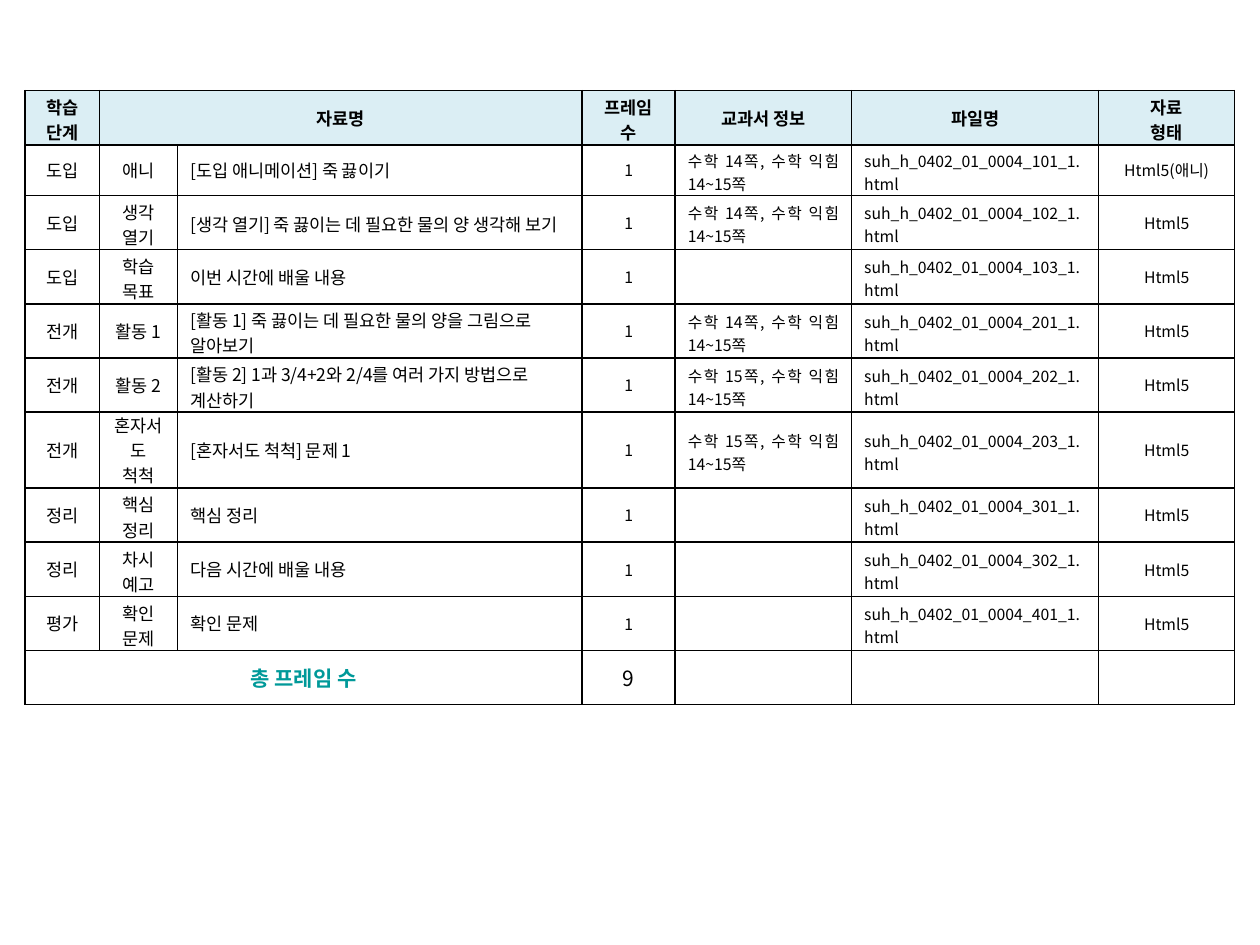
from lxml.etree import SubElement
from pptx import Presentation
from pptx.dml.color import RGBColor as Rgb
from pptx.enum.text import MSO_ANCHOR as Anchor, PP_ALIGN as Align
from pptx.oxml.ns import qn
from pptx.util import Inches, Pt

COLORS = {"text": "000000", "border": "000000", "header": "DBEEF4", "total": "009999"}
COLUMN_WIDTHS = [0.59, 0.62, 3.21, 0.74, 1.4, 1.96, 1.08]
ROW_HEIGHTS = [0.43, 0.4] + [0.43] * 4 + [0.6] + [0.43] * 4
HEADINGS = ["학습 단계", "자료명", "", "프레임 수", "교과서 정보", "파일명", "자료\n형태"]
TWO_LINE_HEADINGS = (0, 3, 6)
# Text size, alignment, most characters on one line
COLUMN_STYLES = [(10, Align.CENTER, 4), (10, Align.CENTER, 4), (10, Align.LEFT, 25),
                 (9, Align.CENTER, 5), (9, Align.JUSTIFY, 12), (9, Align.JUSTIFY, 25),
                 (9, Align.CENTER, 12)]
# Left, top, right, bottom
TWO_LINE_INSETS = (0.1, 0.03, 0.1, 0)
THREE_LINE_INSETS = (0.11, 0, 0.11, 0)

# Stage, section, material, textbook page, file number, format
LESSONS = [
    ("도입", "애니", "[도입 애니메이션] 죽 끓이기", 14, 101, "Html5(애니)"),
    ("도입", "생각 열기", "[생각 열기] 죽 끓이는 데 필요한 물의 양 생각해 보기", 14, 102, "Html5"),
    ("도입", "학습 목표", "이번 시간에 배울 내용", None, 103, "Html5"),
    ("전개", "활동 1", "[활동 1] 죽 끓이는 데 필요한 물의 양을 그림으로 알아보기", 14, 201, "Html5"),
    ("전개", "활동 2", "[활동 2] 1과 3/4+2와 2/4를 여러 가지 방법으로 계산하기", 15, 202, "Html5"),
    ("전개", "혼자서도 척척", "[혼자서도 척척] 문제 1", 15, 203, "Html5"),
    ("정리", "핵심 정리", "핵심 정리", None, 301, "Html5"),
    ("정리", "차시 예고", "다음 시간에 배울 내용", None, 302, "Html5"),
    ("평가", "확인 문제", "확인 문제", None, 401, "Html5"),
]


class LessonDeck:
    font_name = "Noto Sans CJK KR"

    def __init__(self, width, height):
        self.deck = Presentation()
        self.deck.slide_width, self.deck.slide_height = Inches(width), Inches(height)
        self.slide = self.deck.slides.add_slide(self.deck.slide_layouts[6])

    def table(self, left, top, widths, heights):
        """Place a table at shares of the slide's size."""
        frame = self.slide.shapes.add_table(
            len(heights), len(widths),
            int(self.deck.slide_width * left), int(self.deck.slide_height * top),
            Inches(sum(widths)), Inches(sum(heights)))
        grid = frame.table
        grid.first_row = grid.horz_banding = False
        for column, width in zip(grid.columns, widths):
            column.width = Inches(width)
        for row, height in zip(grid.rows, heights):
            row.height = Inches(height)
        for cell in grid.iter_cells():
            self.border(cell)
        return grid

    def border(self, cell):
        properties = cell._tc.get_or_add_tcPr()
        for side in ("a:lnL", "a:lnR", "a:lnT", "a:lnB"):
            line = SubElement(properties, qn(side), w=str(Pt(1)))
            fill = SubElement(line, qn("a:solidFill"))
            SubElement(fill, qn("a:srgbClr"), val=COLORS["border"])

    def insets(self, cell, insets):
        (cell.margin_left, cell.margin_top,
         cell.margin_right, cell.margin_bottom) = map(Inches, insets)

    def cell(self, cell, text, size, align, bold=False, color="text", fill=None):
        cell.vertical_anchor = Anchor.MIDDLE
        if fill:
            cell.fill.solid()
            cell.fill.fore_color.rgb = Rgb.from_string(COLORS[fill])
        else:
            cell.fill.background()
        cell.text_frame.text = text
        for paragraph in cell.text_frame.paragraphs:
            paragraph.alignment = align
            font = paragraph.font
            font.name, font.size, font.bold = self.font_name, Pt(size), bold
            font.color.rgb = Rgb.from_string(COLORS[color])
            SubElement(font._element, qn("a:ea"), typeface=self.font_name)


def main():
    deck = LessonDeck(10, 7.5)
    plan = deck.table(0.02, 0.096, COLUMN_WIDTHS, ROW_HEIGHTS)
    last = len(ROW_HEIGHTS) - 1
    plan.cell(0, 1).merge(plan.cell(0, 2))
    plan.cell(last, 0).merge(plan.cell(last, 2))

    # Header
    for column, heading in enumerate(HEADINGS):
        cell = plan.cell(0, column)
        deck.cell(cell, heading, 10, Align.CENTER, bold=True, fill="header")
        if column in TWO_LINE_HEADINGS:
            deck.insets(cell, TWO_LINE_INSETS)

    # Lesson materials
    for row, (stage, section, material, page, number, kind) in enumerate(LESSONS, 1):
        textbook = f"수학 {page}쪽, 수학 익힘 14~15쪽" if page else ""
        file_name = f"suh_h_0402_01_0004_{number}_1.html"
        values = [stage, section, material, "1", textbook, file_name, kind]
        for column, (value, style) in enumerate(zip(values, COLUMN_STYLES)):
            size, align, line_length = style
            cell = plan.cell(row, column)
            deck.cell(cell, value, size, align)
            if column == 1 and len(value) > 5:
                deck.insets(cell, THREE_LINE_INSETS)
            elif len(value) > line_length:
                deck.insets(cell, TWO_LINE_INSETS)

    # Total
    totals = ["총 프레임 수", "", "", str(len(LESSONS)), "", "", ""]
    for column, value in enumerate(totals):
        is_label = column == 0
        deck.cell(plan.cell(last, column), value, 12, Align.CENTER,
                  bold=is_label, color="total" if is_label else "text")

    deck.deck.save("out.pptx")


if __name__ == "__main__":
    main()
